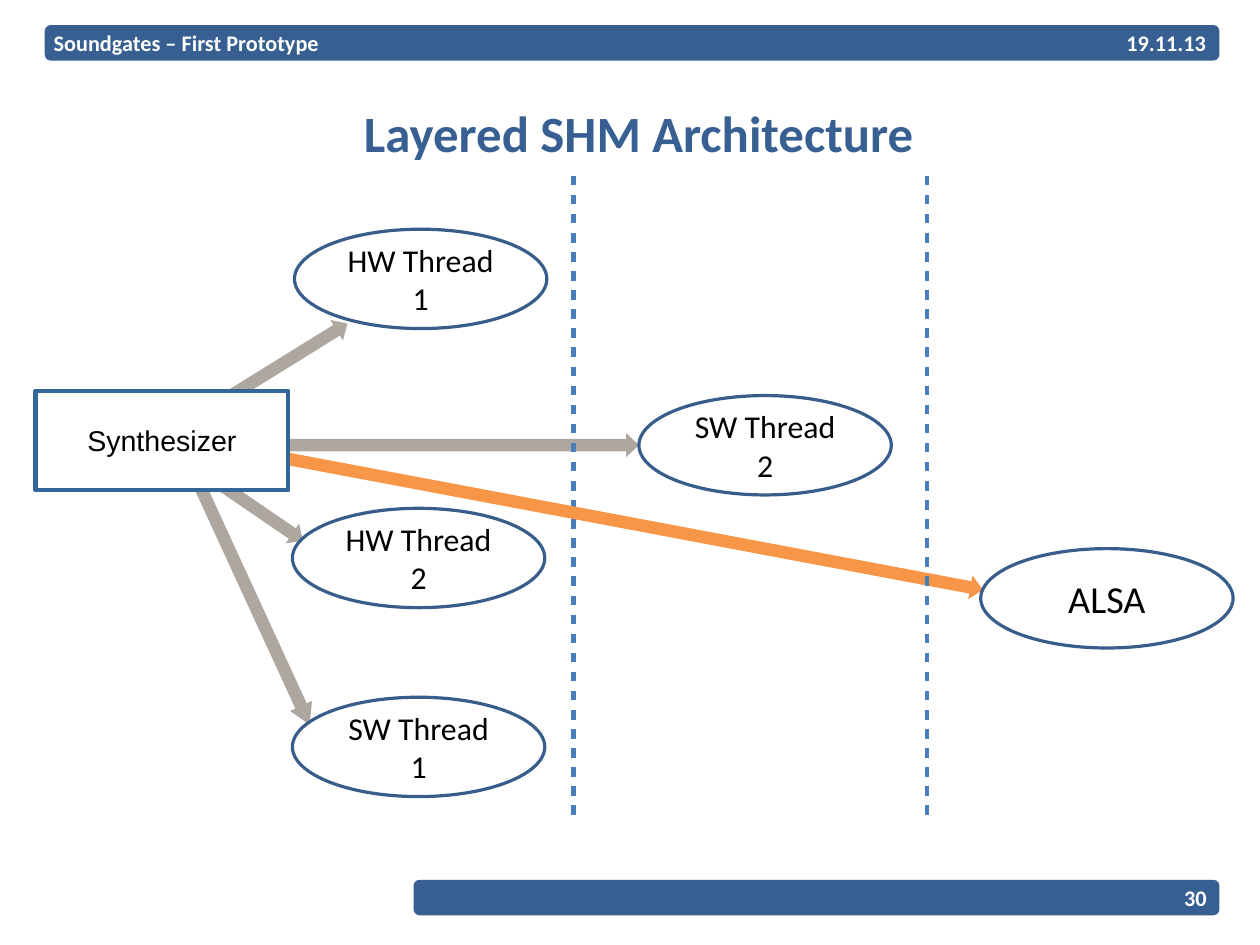
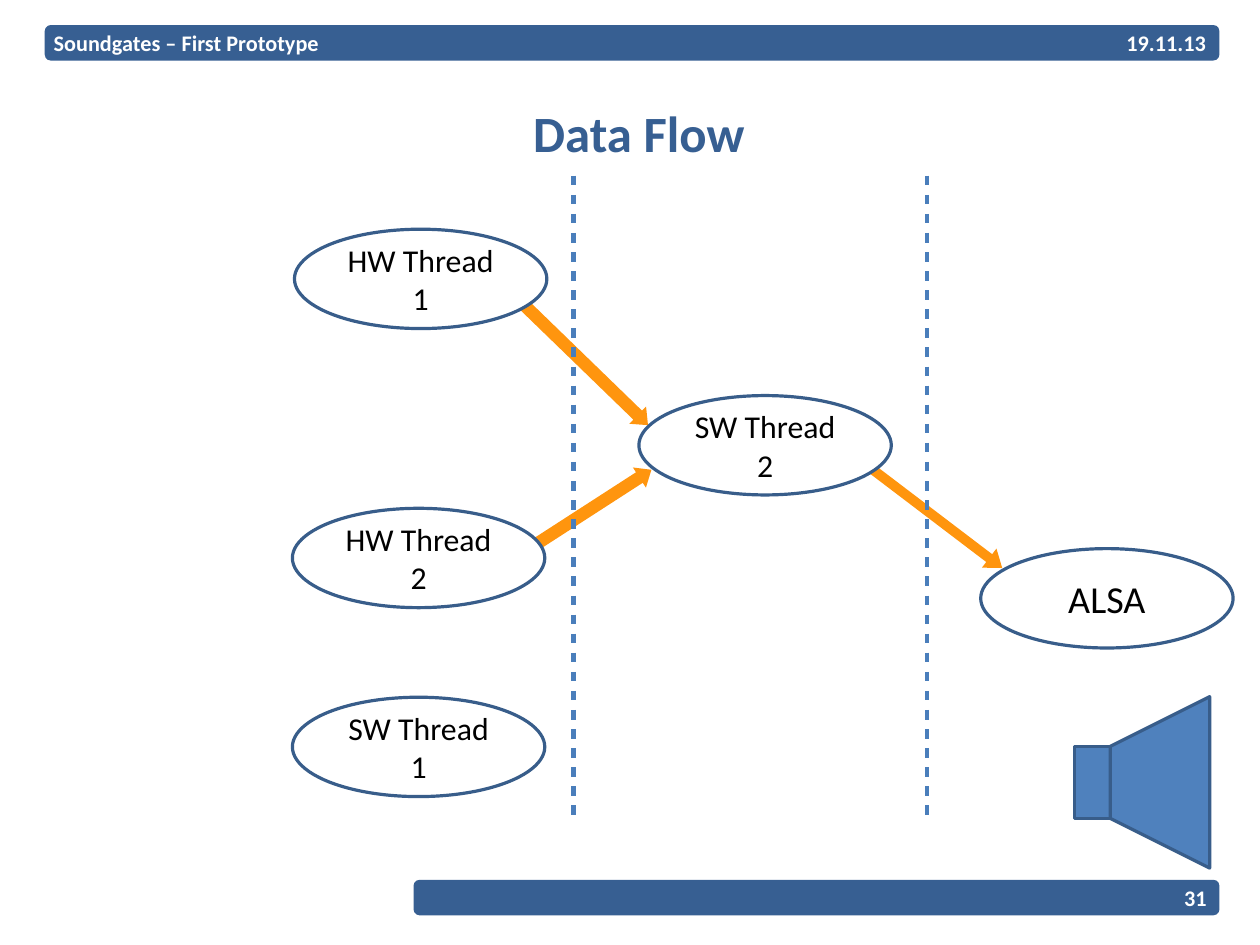
import math
from dataclasses import dataclass
from typing import Any, Optional

import pptx
import pptx.dml.color
import pptx.enum.shapes
import pptx.enum.text
import pptx.oxml.ns
import pptx.util
from lxml import etree

Pt = pptx.util.Pt
KIND = pptx.enum.shapes.MSO_SHAPE
ALIGN = pptx.enum.text.PP_ALIGN
MIDDLE = pptx.enum.text.MSO_ANCHOR.MIDDLE

NAVY, EDGE, RULE, BLUE = "375F92", "385D8A", "4A7EBB", "4F81BD"
GREY, AMBER, ORANGE = "AEA79F", "F79646", "FF950E"
WHITE, BLACK, STEEL = "FFFFFF", "000000", "336699"
RULES = (361.4, 584)
TOP, BOTTOM = 110.7, 513.2
THICK = 15.1


@dataclass(frozen=True)
class Box:
    left: float
    top: float
    width: float
    height: float


@dataclass(frozen=True)
class Type:
    size: float
    color: str = BLACK
    bold: bool = False
    face: str = "Calibri"
    align: Any = ALIGN.CENTER


@dataclass(frozen=True)
class Node:
    text: str
    left: float
    top: float
    type: Type = Type(20)
    kind: Any = KIND.OVAL
    edge: str = EDGE
    weight: float = 2

    @property
    def box(self) -> Box:
        return Box(self.left, self.top, 159, 62.6)


@dataclass(frozen=True)
class Arrow:
    x1: float
    y1: float
    x2: float
    y2: float
    color: str
    head: float = 8
    shaft: float = 0.52


@dataclass(frozen=True)
class Page:
    title: str
    number: str
    under: tuple[Arrow, ...]
    between: tuple[Arrow, ...] = ()
    nodes: tuple[Node, ...] = ()
    speaker: bool = False


BANDS = (Box(28.2, 15.8, 740, 22.4), Box(260.5, 554.2, 507.7, 22.4))
TITLE = Box(39.6, 58.3, 725.8, 49.7)
HEADER = Box(33.8, 15.8, 617.8, 22.4)
DATE = Box(663.2, 15.8, 96.6, 22.4)
NUMBER = Box(697.6, 554.2, 62.6, 22.4)
LEFT = Type(14, WHITE, True, align=ALIGN.LEFT)
RIGHT = Type(14, WHITE, True, align=ALIGN.RIGHT)

THREADS = (
    Node("HW Thread 1", 185.5, 144.4),
    Node("HW Thread 2", 184.2, 320.2),
    Node("SW Thread 1", 184.2, 439.2),
    Node("SW Thread 2", 402.5, 249.2),
    Node("ALSA", 617.8, 345.6, Type(24)),
)
SYNTH = Node("Synthesizer", 22.5, 246.2, Type(18, face="Arial"),
             KIND.RECTANGLE, STEEL, 2.89)

PAGES = (
    Page(
        "Layered SHM Architecture", "30",
        (
            Arrow(137.5, 304.2, 190.8, 340.6, GREY),
            Arrow(138.2, 253.8, 218.9, 203.8, GREY),
            Arrow(126, 306.4, 195.1, 456.5, GREY, 13),
            Arrow(168.5, 280.4, 402.5, 280.4, GREY),
        ),
        (Arrow(177.8, 288.4, 619.2, 371.5, AMBER),),
        THREADS + (SYNTH,),
    ),
    Page(
        "Data Flow", "31",
        (
            Arrow(313.9, 358.2, 410.4, 295.9, ORANGE, 9),
            Arrow(325.8, 187.9, 408.2, 267.8, ORANGE, 9),
            Arrow(547.6, 294.1, 631.4, 357.8, ORANGE, 10.3, 0.41),
        ),
        nodes=THREADS,
        speaker=True,
    ),
)


def rgb(code: str) -> pptx.dml.color.RGBColor:
    return pptx.dml.color.RGBColor.from_string(code)


def place(shape: Any, box: Box) -> None:
    shape.left, shape.top = Pt(box.left), Pt(box.top)
    shape.width, shape.height = Pt(box.width), Pt(box.height)


def write(shape: Any, text: str, style: Type, inset: bool = False) -> None:
    frame = shape.text_frame
    frame.word_wrap = True
    frame.auto_size = pptx.enum.text.MSO_AUTO_SIZE.NONE
    frame.vertical_anchor = MIDDLE
    if not inset:
        frame.margin_left = frame.margin_right = Pt(0)
        frame.margin_top = frame.margin_bottom = Pt(0)
    line = frame.paragraphs[0]
    line.alignment = style.align
    run = line.add_run()
    run.text = text
    run.font.name = style.face
    run.font.size = Pt(style.size)
    run.font.bold = style.bold
    run.font.color.rgb = rgb(style.color)


def label(slide: Any, box: Box, text: str, style: Type) -> None:
    shape = slide.shapes.add_textbox(0, 0, 0, 0)
    place(shape, box)
    write(shape, text, style)


def draw(slide: Any, kind: Any, box: Box, fill: str,
         edge: Optional[str] = None, weight: float = 2) -> Any:
    shape = slide.shapes.add_shape(kind, 0, 0, 0, 0)
    place(shape, box)
    shape.shadow.inherit = False
    shape.fill.solid()
    shape.fill.fore_color.rgb = rgb(fill)
    if edge:
        shape.line.color.rgb = rgb(edge)
        shape.line.width = Pt(weight)
    else:
        shape.line.fill.background()
    return shape


def point(slide: Any, arrow: Arrow) -> None:
    dx, dy = arrow.x2 - arrow.x1, arrow.y2 - arrow.y1
    length = math.hypot(dx, dy)
    left = (arrow.x1 + arrow.x2 - length) / 2
    top = (arrow.y1 + arrow.y2 - THICK) / 2
    shape = draw(slide, KIND.RIGHT_ARROW, Box(left, top, length, THICK),
                 arrow.color)
    shape.adjustments[0] = arrow.shaft
    shape.adjustments[1] = arrow.head / THICK
    shape.rotation = math.degrees(math.atan2(dy, dx))


def divide(slide: Any, x: float) -> None:
    line = slide.shapes.add_connector(
        pptx.enum.shapes.MSO_CONNECTOR.STRAIGHT,
        Pt(x), Pt(TOP), Pt(x), Pt(BOTTOM))
    line.line.color.rgb = rgb(RULE)
    line.line.width = Pt(3)
    qn = pptx.oxml.ns.qn
    props = line.element.spPr
    dash = etree.SubElement(props.find(qn("a:ln")), qn("a:custDash"))
    etree.SubElement(dash, qn("a:ds"), d="200000", sp="200000")
    etree.SubElement(props, qn("a:effectLst"))


def sound(slide: Any) -> None:
    draw(slide, KIND.RECTANGLE, Box(676.8, 470.2, 22.7, 45.4), BLUE, EDGE)
    horn = draw(slide, KIND.TRAPEZOID, Box(676.8, 461.5, 108, 62.6),
                BLUE, EDGE)
    horn.adjustments[0] = 0.5
    horn.rotation = 270


def dress(layout: Any, slide: Any) -> None:
    place(layout.placeholders[0], TITLE)
    for box in BANDS:
        band = draw(slide, KIND.ROUNDED_RECTANGLE, box, NAVY)
        band.adjustments[0] = 0.17
        layout.shapes.element.insert(2, band.element)


def build(slide: Any, page: Page) -> None:
    write(slide.shapes.title, page.title, Type(32, NAVY, True))
    label(slide, HEADER, "Soundgates – First Prototype", LEFT)
    label(slide, DATE, "19.11.13", RIGHT)
    label(slide, NUMBER, page.number, RIGHT)
    for arrow in page.under:
        point(slide, arrow)
    divide(slide, RULES[0])
    for arrow in page.between:
        point(slide, arrow)
    divide(slide, RULES[1])
    for node in page.nodes:
        shape = draw(slide, node.kind, node.box, WHITE, node.edge, node.weight)
        write(shape, node.text, node.type, True)
    if page.speaker:
        sound(slide)


def main() -> None:
    deck = pptx.Presentation()
    deck.slide_width, deck.slide_height = Pt(793.75), Pt(595.25)
    layout = deck.slide_layouts[5]
    slides = [deck.slides.add_slide(layout) for _ in PAGES]
    dress(layout, slides[0])
    for slide, page in zip(slides, PAGES):
        build(slide, page)
    deck.save("out.pptx")


if __name__ == "__main__":
    main()
